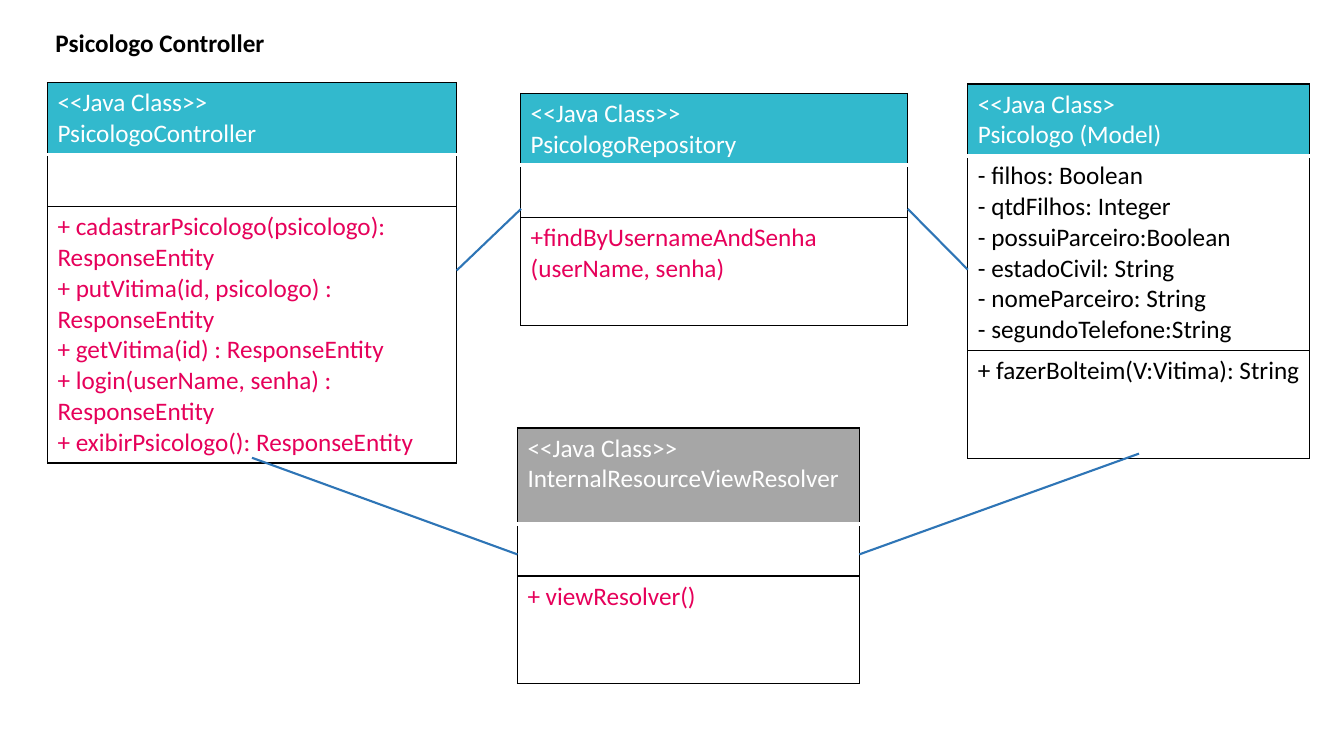
from dataclasses import dataclass

from lxml.etree import SubElement
from pptx import Presentation
from pptx.dml.color import RGBColor
from pptx.enum.shapes import MSO_CONNECTOR
from pptx.enum.text import MSO_ANCHOR, MSO_AUTO_SIZE, PP_ALIGN
from pptx.oxml.ns import qn
from pptx.util import Pt


@dataclass(frozen=True)
class Theme:
    font: str = "Calibri"
    size: int = 18
    black: str = "000000"
    white: str = "FFFFFF"
    teal: str = "32B9CD"
    gray: str = "A6A6A6"
    pink: str = "E6005A"
    blue: str = "2E75B6"


theme = Theme()


def style_text(text_frame, color, bold=False):
    for paragraph in text_frame.paragraphs:
        paragraph.font.size = Pt(theme.size)
        for run in paragraph.runs:
            run.font.name = theme.font
            run.font.size = Pt(theme.size)
            run.font.bold = bold
            run.font.color.rgb = RGBColor.from_string(color)


def add_border(cell, side, color, width):
    properties = cell._tc.get_or_add_tcPr()
    line = SubElement(properties, qn(f"a:ln{side}"), w=str(Pt(width)))
    fill = SubElement(line, qn("a:solidFill"))
    SubElement(fill, qn("a:srgbClr"), val=color)


presentation = Presentation()
presentation.slide_width = Pt(960)
presentation.slide_height = Pt(540)
slide = presentation.slides.add_slide(presentation.slide_layouts[5])

# Title
title = slide.shapes.title
title.left, title.top, title.width, title.height = Pt(32.4), Pt(16), Pt(480), Pt(29)
title.text_frame.text = "Psicologo Controller"
title.text_frame.auto_size = MSO_AUTO_SIZE.NONE
title.text_frame.vertical_anchor = MSO_ANCHOR.TOP
title.text_frame.paragraphs[0].alignment = PP_ALIGN.LEFT
style_text(title.text_frame, theme.black, bold=True)

# Class boxes: left, top, width, row heights, header fill, method color, texts
classes = [
    (33.9, 59.2, 292.3, (51.2, 37.4, 182.6), theme.teal, theme.pink, (
        "<<Java Class>>\nPsicologoController",
        "",
        "+ cadastrarPsicologo(psicologo): ResponseEntity\n"
        "+ putVitima(id, psicologo) : ResponseEntity\n"
        "+ getVitima(id) : ResponseEntity\n"
        "+ login(userName, senha) : ResponseEntity\n"
        "+ exibirPsicologo(): ResponseEntity")),
    (691.3, 60, 244.1, (51.2, 139, 77), theme.teal, theme.black, (
        "<<Java Class>\nPsicologo (Model)",
        "- filhos: Boolean\v- qtdFilhos: Integer\v- possuiParceiro:Boolean\v"
        "- estadoCivil: String\v- nomeParceiro: String\v- segundoTelefone:String",
        "+ fazerBolteim(V:Vitima): String")),
    (371.9, 66.7, 276.5, (51.2, 37.4, 77), theme.teal, theme.pink, (
        "<<Java Class>>\nPsicologoRepository",
        "",
        "+findByUsernameAndSenha (userName, senha)")),
    (369.6, 305.7, 244.1, (68.4, 37.4, 77), theme.gray, theme.pink, (
        "<<Java Class>>\nInternalResourceViewResolver",
        "",
        "+ viewResolver()")),
]
# Top and bottom borders of the header, attribute and method rows
row_borders = [
    ((theme.black, 1), (theme.white, 3)),
    ((theme.white, 1), (theme.black, 1)),
    ((theme.black, 1), (theme.black, 1)),
]
for left, top, width, heights, header_fill, method_color, texts in classes:
    frame = slide.shapes.add_table(3, 1, Pt(left), Pt(top), Pt(width), Pt(sum(heights)))
    table = frame.table
    table.first_row = table.horz_banding = False
    text_colors = (theme.white, theme.black, method_color)
    for index, (top_border, bottom_border) in enumerate(row_borders):
        table.rows[index].height = Pt(heights[index])
        cell = table.cell(index, 0)
        cell.text_frame.text = texts[index]
        style_text(cell.text_frame, text_colors[index])
        for side in "LR":
            add_border(cell, side, theme.black, 1)
        add_border(cell, "T", *top_border)
        add_border(cell, "B", *bottom_border)
        if index == 0:
            cell.fill.solid()
            cell.fill.fore_color.rgb = RGBColor.from_string(header_fill)
        else:
            cell.fill.background()

# Links between the classes
links = [
    (326.2, 193.2, 372.2, 149.2),
    (180, 327, 369.6, 396),
    (648.4, 149.2, 691.3, 192.6),
    (613.8, 396, 813.6, 324),
]
for link in links:
    connector = slide.shapes.add_connector(MSO_CONNECTOR.STRAIGHT, *map(Pt, link))
    connector.line.color.rgb = RGBColor.from_string(theme.blue)
    connector.line.width = Pt(1.5)
    SubElement(connector._element.spPr, qn("a:effectLst"))

presentation.save("out.pptx")
